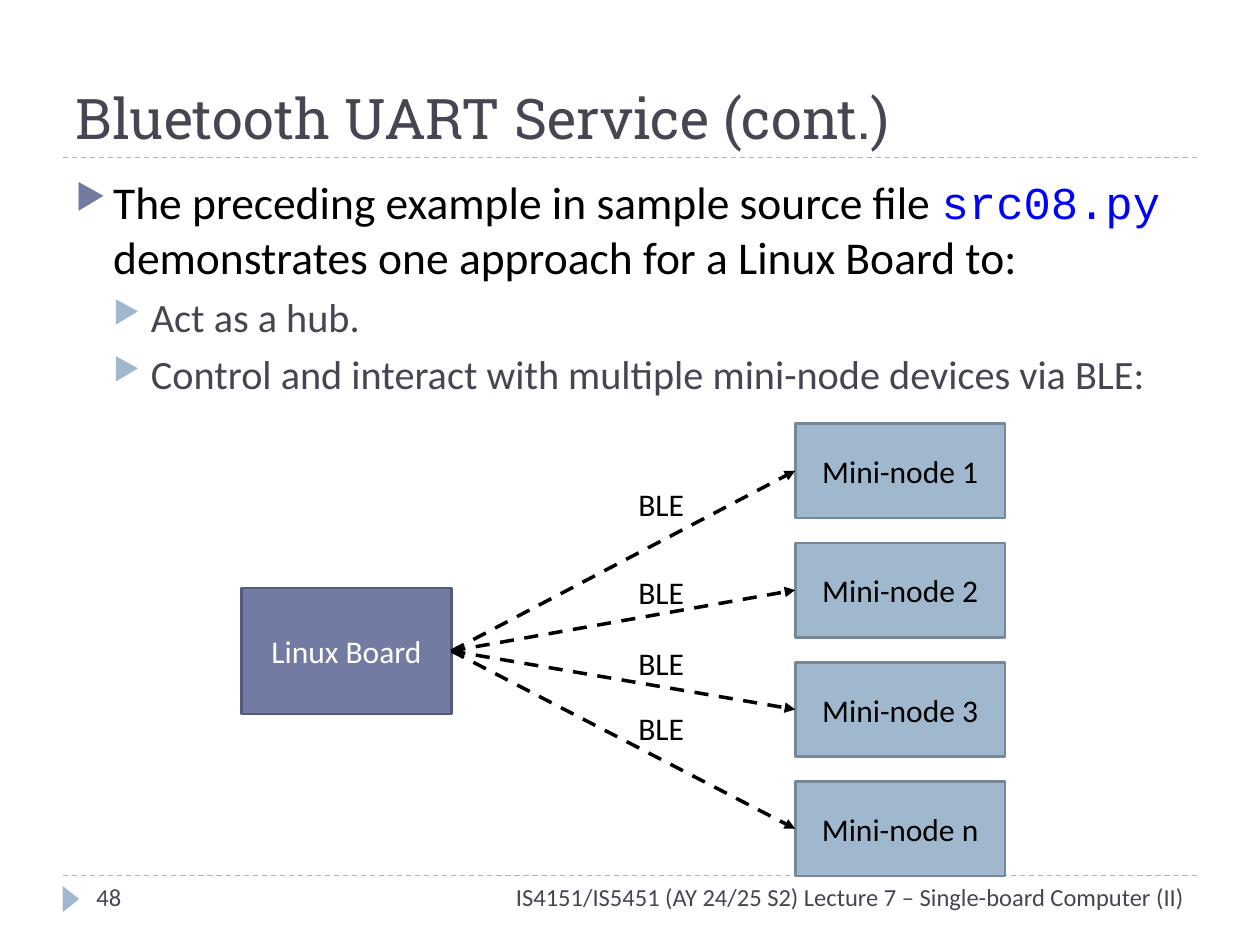
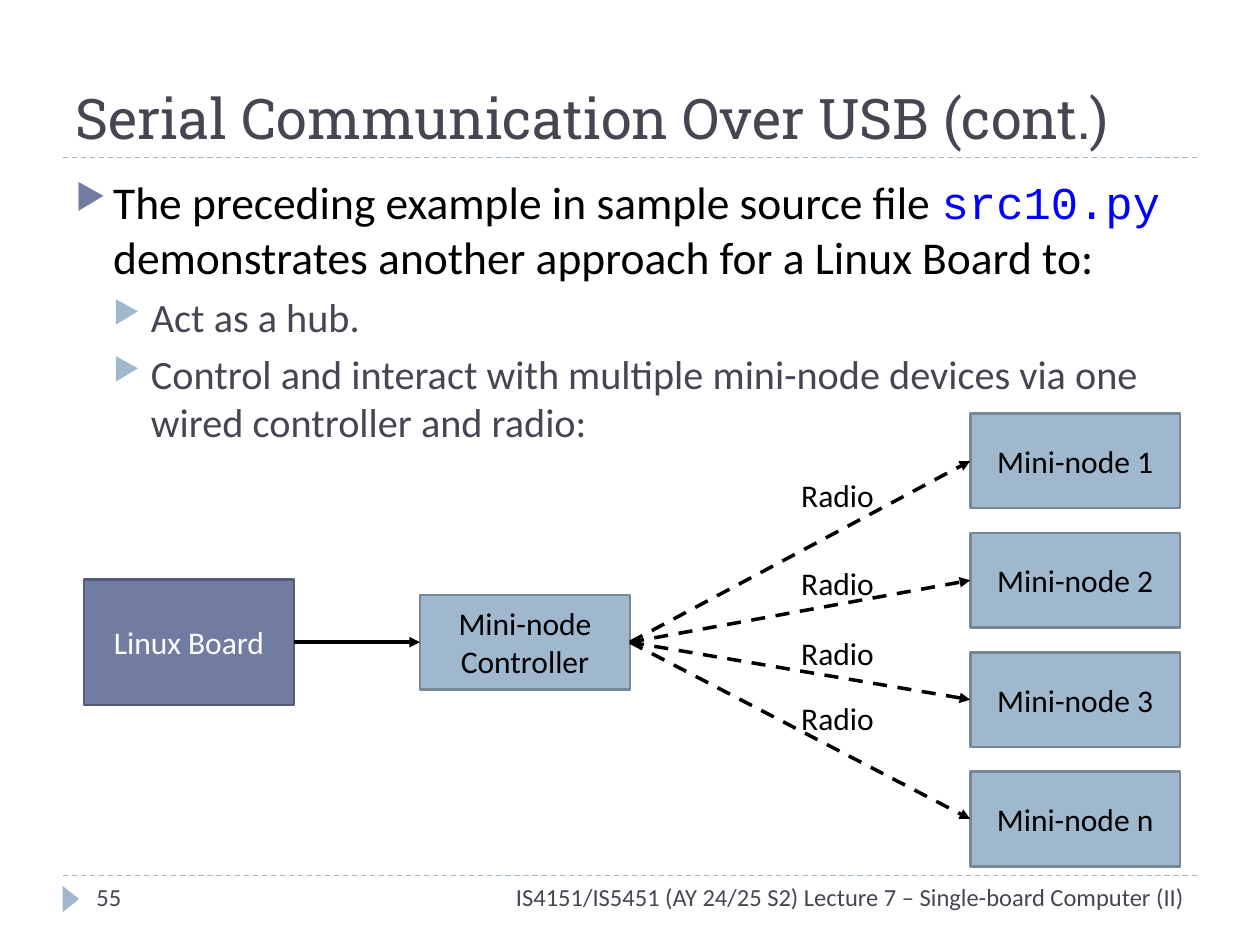
from lxml.etree import SubElement
from pptx import Presentation
from pptx.dml.color import RGBColor
from pptx.enum.dml import MSO_LINE_DASH_STYLE as Dash
from pptx.enum.shapes import MSO_CONNECTOR as Connector, MSO_SHAPE as Preset
from pptx.enum.text import MSO_ANCHOR as Anchor, MSO_AUTO_SIZE as AutoSize, PP_ALIGN as Align
from pptx.oxml.ns import qn
from pptx.util import Pt

INK, BLACK, WHITE, CODE = "464653", "000000", "FFFFFF", "0000FF"
INDIGO, INDIGO_EDGE = "727CA3", "545C79"
SKY, SKY_EDGE = "9FB8CD", "768898"
FOOTER = "IS4151/IS5451 (AY 24/25 S2) Lecture 7 – Single-board Computer (II)"

TITLE = {"name": "Roboto Slab", "size": Pt(32), "color": INK}
LEAD = {"name": "Calibri", "size": Pt(26), "color": BLACK}
SOURCE = {"name": "Courier New", "size": Pt(26), "color": CODE}
POINT = {"name": "Calibri", "size": Pt(23), "color": INK}
SMALL = {"name": "Calibri", "size": Pt(14), "color": INK}
DARK_LABEL = {"name": "Calibri", "size": Pt(18), "color": BLACK}
LIGHT_LABEL = {**DARK_LABEL, "color": WHITE}

NODE_WIDTH, NODE_HEIGHT, NODE_STEP = 120, 54, 68.2
LINK_LABEL_TOPS = (31.8, 82.2, 122.4, 159.8)
RIGHT_SITE, LEFT_SITE = 3, 1


def rgb(value):
    return RGBColor.from_string(value)


def set_font(font, style):
    for name, value in style.items():
        if name == "color":
            font.color.rgb = rgb(value)
        else:
            setattr(font, name, value)


def add_run(paragraph, text, style):
    run = paragraph.add_run()
    run.text = text
    set_font(run.font, style)


def add_text(slide, box, text, style, align=Align.LEFT, wrap=True):
    frame = slide.shapes.add_textbox(*map(Pt, box)).text_frame
    frame.word_wrap = wrap
    paragraph = frame.paragraphs[0]
    paragraph.alignment = align
    add_run(paragraph, text, style)


def add_line(slide, start, end, color=BLACK, width=2, dash=None, arrow=False):
    line = slide.shapes.add_connector(Connector.STRAIGHT, *map(Pt, (*start, *end)))
    line.line.color.rgb = rgb(color)
    line.line.width = Pt(width)
    if dash:
        line.line.dash_style = dash
    if arrow:
        SubElement(line.line._get_or_add_ln(), qn("a:tailEnd"), type="triangle")
    SubElement(line._element.spPr, qn("a:effectLst"))
    return line


def add_arrow(slide, source, target, dash=None):
    """Join the right side of source to the left side of target."""
    arrow = add_line(slide, (0, 0), (0, 0), dash=dash, arrow=True)
    arrow.begin_connect(source, RIGHT_SITE)
    arrow.end_connect(target, LEFT_SITE)


def add_shape(slide, preset, box, fill):
    shape = slide.shapes.add_shape(preset, *map(Pt, box))
    shape.shadow.inherit = False
    shape.fill.solid()
    shape.fill.fore_color.rgb = rgb(fill)
    shape.line.fill.background()
    return shape


def add_device(slide, box, text, fill=SKY, edge=SKY_EDGE, style=DARK_LABEL):
    device = add_shape(slide, Preset.RECTANGLE, box, fill)
    device.line.color.rgb = rgb(edge)
    device.line.width = Pt(1.5)
    frame = device.text_frame
    frame.word_wrap = True
    frame.vertical_anchor = Anchor.MIDDLE
    paragraph = frame.paragraphs[0]
    paragraph.alignment = Align.CENTER
    add_run(paragraph, text, style)
    return device


def add_hub(slide, left, top):
    return add_device(slide, (left, top, NODE_WIDTH, 72), "Linux Board",
                      INDIGO, INDIGO_EDGE, LIGHT_LABEL)


def add_fan(slide, source, left, top, width, link):
    """Draw the column of nodes and the labelled arrows that reach it.

    left and width span the arrows; the nodes start where they end.
    """
    for index, (number, label_top) in enumerate(zip("123n", LINK_LABEL_TOPS)):
        box = (left + width, top + index * NODE_STEP, NODE_WIDTH, NODE_HEIGHT)
        node = add_device(slide, box, f"Mini-node {number}")
        add_arrow(slide, source, node, Dash.DASH)
        label_box = (left + 0.61 * width - 30, top + label_top, 60, 28.8)
        add_text(slide, label_box, link, DARK_LABEL, Align.CENTER, wrap=False)


def set_bullet(paragraph, color, indent):
    properties = paragraph._p.get_or_add_pPr()
    properties.set("marL", str(Pt(indent)))
    properties.set("indent", str(-Pt(21.6)))
    bullet_color = SubElement(properties, qn("a:buClr"))
    SubElement(bullet_color, qn("a:srgbClr"), val=color)
    SubElement(properties, qn("a:buSzPct"), val="76000")
    SubElement(properties, qn("a:buChar"), char="▶")


def add_body(slide, box, source_file, approach, points):
    frame = slide.shapes.add_textbox(*map(Pt, box)).text_frame
    frame.word_wrap = True
    lead = frame.paragraphs[0]
    set_bullet(lead, INDIGO, 21.6)
    add_run(lead, "The preceding example in sample source file ", LEAD)
    add_run(lead, source_file, SOURCE)
    add_run(lead, f" demonstrates {approach} approach for a Linux Board to:", LEAD)
    for text in points:
        point = frame.add_paragraph()
        point.level = 1
        set_bullet(point, SKY, 43.2)
        point.space_before = Pt(5)
        add_run(point, text, POINT)


def add_frame(presentation, title_text, number):
    """Add a slide with its title, rules and footer."""
    slide = presentation.slides.add_slide(presentation.slide_layouts[5])
    for y in (500.4, 90):
        add_line(slide, (36, y), (684, y), SKY, 0.75, Dash.DASH)
    marker = add_shape(slide, Preset.ISOSCELES_TRIANGLE, (33, 509, 15, 9.5), SKY)
    marker.rotation = 90

    title = slide.shapes.title
    place = {"left": 36, "top": 12.2, "width": 648, "height": 77.8}
    for name, value in place.items():
        setattr(title, name, Pt(value))
    frame = title.text_frame
    frame.auto_size = AutoSize.NONE
    frame.vertical_anchor = Anchor.BOTTOM
    paragraph = frame.paragraphs[0]
    paragraph.alignment = Align.LEFT
    add_run(paragraph, title_text, TITLE)

    add_text(slide, (96, 500.4, 588, 28.8), FOOTER, SMALL, Align.RIGHT)
    add_text(slide, (48, 500.4, 156, 28.8), number, SMALL)
    return slide


def add_bluetooth_slide(presentation):
    slide = add_frame(presentation, "Bluetooth UART Service (cont.)", "48")
    add_body(slide, (36, 96, 648, 389), "src08.py", "one", (
        "Act as a hub.",
        "Control and interact with multiple mini-node devices via BLE:"))
    hub = add_hub(slide, 138, 336)
    add_fan(slide, hub, 258, 242, 196.4, "BLE")


def add_serial_slide(presentation):
    slide = add_frame(presentation, "Serial Communication Over USB (cont.)", "55")
    add_body(slide, (36, 96, 648, 389), "src10.py", "another", (
        "Act as a hub.",
        "Control and interact with multiple mini-node devices via one "
        "wired controller and radio:"))
    hub = add_hub(slide, 48, 331)
    controller = add_device(slide, (240, 340, NODE_WIDTH, NODE_HEIGHT),
                            "Mini-node Controller")
    add_arrow(slide, hub, controller)
    add_fan(slide, controller, 360, 236.4, 194.4, "Radio")


def main():
    presentation = Presentation()
    presentation.slide_width = Pt(720)
    presentation.slide_height = Pt(540)
    add_bluetooth_slide(presentation)
    add_serial_slide(presentation)
    presentation.save("out.pptx")


if __name__ == "__main__":
    main()
